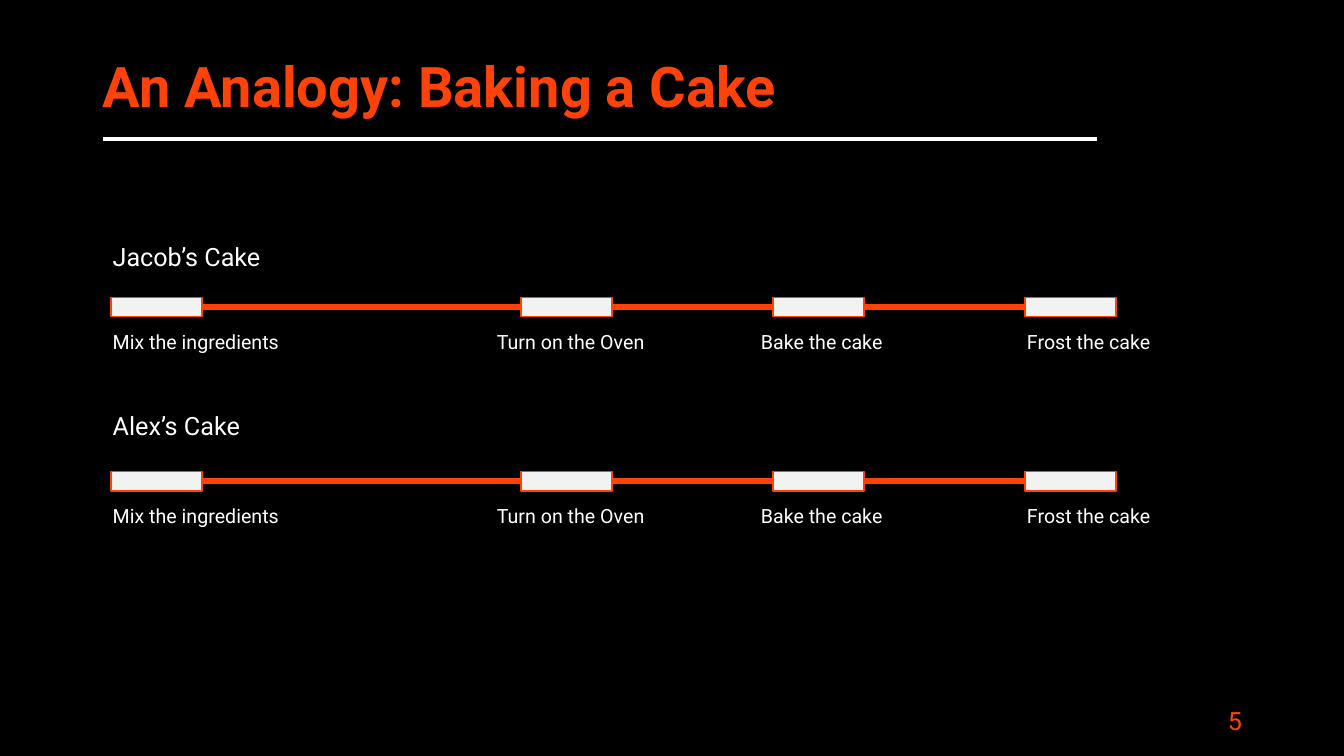
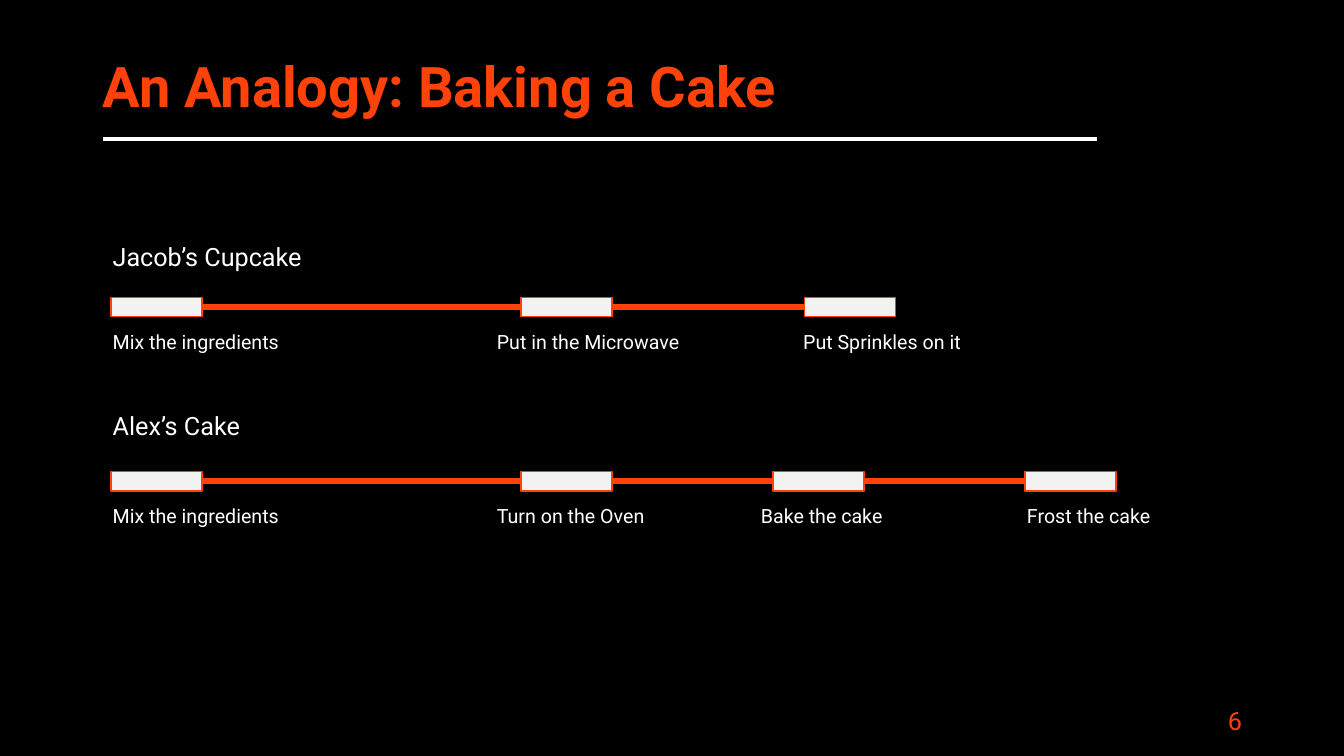
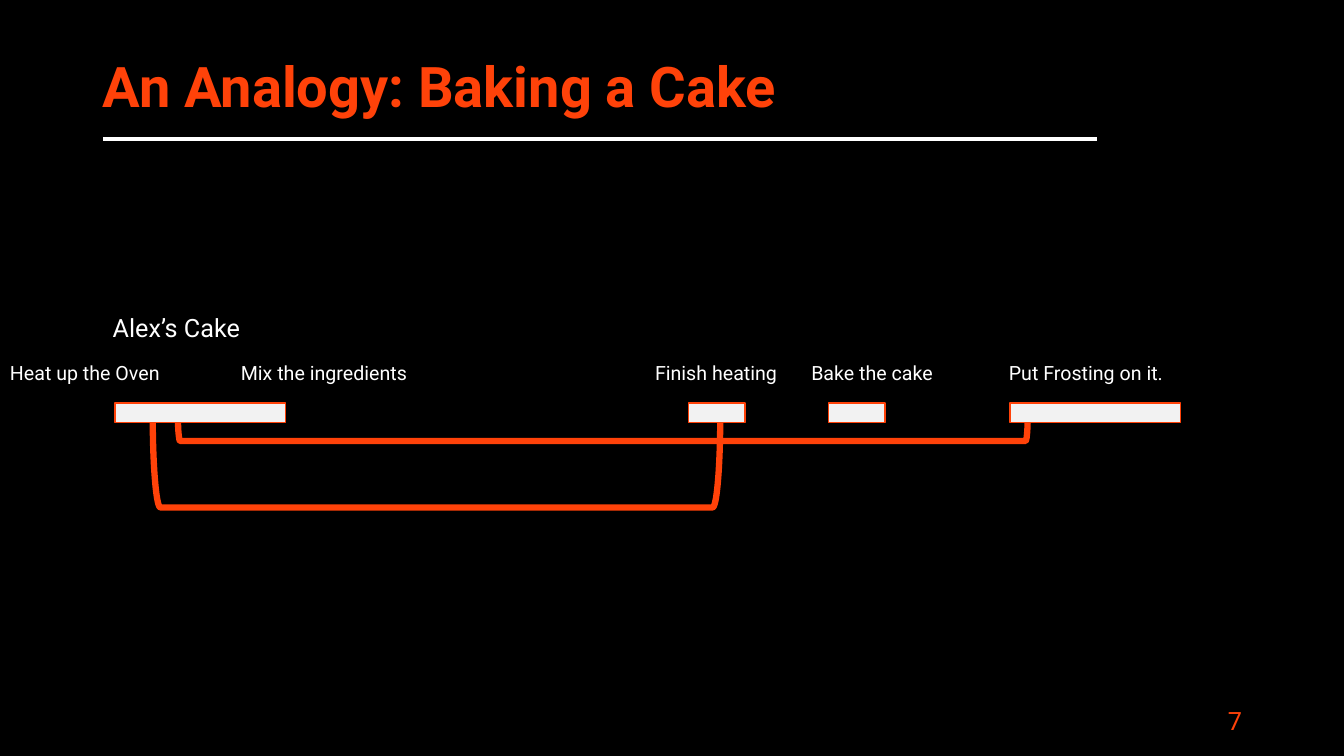
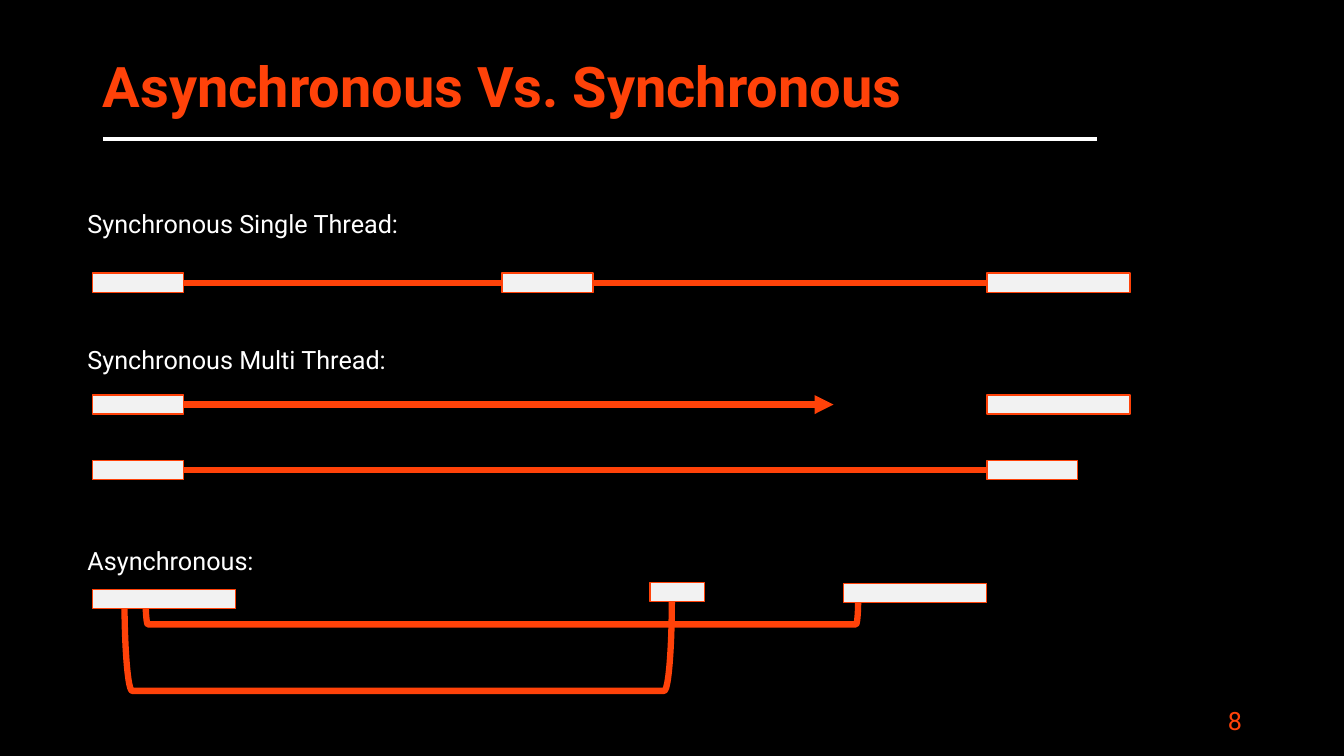
from lxml import etree
from pptx import Presentation
from pptx.dml.color import RGBColor
from pptx.enum.shapes import MSO_CONNECTOR, MSO_SHAPE
from pptx.enum.text import MSO_ANCHOR, MSO_AUTO_SIZE, PP_ALIGN
from pptx.oxml.ns import qn
from pptx.util import Pt

BLACK = RGBColor(0x00, 0x00, 0x00)
WHITE = RGBColor(0xFF, 0xFF, 0xFF)
ORANGE = RGBColor(0xFF, 0x42, 0x09)
PALE = RGBColor(0xF2, 0xF2, 0xF2)

RECT, BRACKET = MSO_SHAPE.RECTANGLE, MSO_SHAPE.RIGHT_BRACKET
STRAIGHT = MSO_CONNECTOR.STRAIGHT
MIDDLE = MSO_ANCHOR.MIDDLE
LEFT, RIGHT = PP_ALIGN.LEFT, PP_ALIGN.RIGHT
FIXED, GROW = MSO_AUTO_SIZE.NONE, MSO_AUTO_SIZE.SHAPE_TO_FIT_TEXT

FONT = "Roboto"
TITLE_ONLY = 5
BOX_W, BOX_H = 65, 13.7
LABEL_DROP = 12.8
MARGIN = 73.4
ROW_1, ROW_2 = 219.2, 343.8
CAKE_STEPS = [
    ("Mix the ingredients", 79.2, 73.4),
    ("Turn on the Oven", 372.2, 347.8),
    ("Bake the cake", 552.2, 536.4),
    ("Frost the cake", 732.2, 726.5),
]
CUPCAKE_STEPS = [
    ("Mix the ingredients", 79.2, 73.4),
    ("Put in the Microwave", 372.2, 347.8),
    ("Put Sprinkles on it", 574.6, 566.6),
]


class Deck:
    """Holds the shared style and the slide being built."""

    def __init__(self):
        self.prs = Presentation()
        self.prs.slide_width, self.prs.slide_height = Pt(960), Pt(540)
        fill = self.prs.slide_master.background.fill
        fill.solid()
        fill.fore_color.rgb = BLACK

    def add_text(self, tf, text, size, color, bold=False, align=LEFT):
        p = tf.paragraphs[0]
        p.alignment = align
        r = p.add_run()
        r.text = text
        r.font.name, r.font.size, r.font.bold = FONT, Pt(size), bold
        r.font.color.rgb = color
        return p

    def slide(self, title, number):
        self.s = self.prs.slides.add_slide(self.prs.slide_layouts[TITLE_ONLY])
        sp = self.s.shapes.title
        sp.left, sp.top, sp.width, sp.height = Pt(66.2), Pt(28.8), Pt(828), Pt(70.6)
        tf = sp.text_frame
        tf.vertical_anchor, tf.auto_size = MIDDLE, FIXED
        self.add_text(tf, title, 40, ORANGE, bold=True).line_spacing = 0.9
        self.line(783.4, MARGIN, 99.4, WHITE, 3)
        tf = self.text_box(678.2, 500.4, 216, 28.8)
        tf.vertical_anchor = MIDDLE
        self.add_text(tf, str(number), 18, ORANGE, align=RIGHT)

    def text_box(self, x, y, w, h):
        tf = self.s.shapes.add_textbox(Pt(x), Pt(y), Pt(w), Pt(h)).text_frame
        tf.word_wrap = True
        return tf

    def heading(self, text, x, y):
        tf = self.text_box(x, y, 249, 29)
        tf.auto_size = GROW
        self.add_text(tf, text, 18, WHITE)

    def label(self, text, x, y, w=145.4):
        tf = self.text_box(x, y, w, 24.5)
        tf.auto_size = GROW
        self.add_text(tf, text, 14, WHITE)

    def line(self, x1, x2, y, color=ORANGE, width=4.5):
        c = self.s.shapes.add_connector(STRAIGHT, Pt(x1), Pt(y), Pt(x2), Pt(y))
        c.line.color.rgb, c.line.width = color, Pt(width)
        etree.SubElement(c.element.spPr, qn("a:effectLst"))
        return c

    def arrow(self, x1, x2, y):
        ln = self.line(x1, x2, y).element.spPr.find(qn("a:ln"))
        etree.SubElement(ln, qn("a:tailEnd"), type="triangle")

    def box(self, x, y, w=BOX_W):
        sp = self.s.shapes.add_shape(RECT, Pt(x), Pt(y - BOX_H / 2), Pt(w), Pt(BOX_H))
        sp.shadow.inherit = False
        sp.fill.solid()
        sp.fill.fore_color.rgb = PALE
        sp.line.color.rgb, sp.line.width = ORANGE, Pt(1)

    def bracket(self, x, y, w, h):
        left, top = x + (w - h) / 2, y + (h - w) / 2
        sp = self.s.shapes.add_shape(BRACKET, Pt(left), Pt(top), Pt(h), Pt(w))
        sp.rotation = 90
        sp.shadow.inherit = False
        sp.fill.background()
        sp.line.color.rgb, sp.line.width = ORANGE, Pt(4.5)

    def timeline(self, steps, y, end):
        self.arrow(86.4, end, y)
        for text, box_x, label_x in steps:
            self.box(box_x, y)
            self.label(text, label_x, y + LABEL_DROP)


def main():
    deck = Deck()
    analogy = "An Analogy: Baking a Cake"

    pairs = [("Jacob’s Cake", CAKE_STEPS, 757.4), ("Jacob’s Cupcake", CUPCAKE_STEPS, 607)]
    for number, (heading, steps, end) in enumerate(pairs, 5):
        deck.slide(analogy, number)
        deck.heading(heading, MARGIN, 168.5)
        deck.timeline(steps, ROW_1, end)
        deck.heading("Alex’s Cake", MARGIN, 289.4)
        deck.timeline(CAKE_STEPS, ROW_2, 757.4)

    deck.slide(analogy, 7)
    deck.heading("Alex’s Cake", MARGIN, 219.6)
    deck.bracket(127.1, 296.3, 607, 18.7)
    deck.bracket(109.1, 296.3, 405.4, 66.2)
    for x, w in [(82.1, 121.7), (491.8, 40.3), (591.8, 40.3), (721.4, 121.7)]:
        deck.box(x, 294.8, w)
    for text, x, w in [
        ("Heat up the Oven", 0, 145.4),
        ("Mix the ingredients", 164.9, 145.4),
        ("Finish heating", 460.8, 111.6),
        ("Bake the cake", 572.4, 111.6),
        ("Put Frosting on it.", 713.5, 145.4),
    ]:
        deck.label(text, x, 254.2, w)

    deck.slide("Asynchronous Vs. Synchronous", 8)
    for text, y in [
        ("Synchronous Single Thread:", 145.4),
        ("Synchronous Multi Thread:", 242.6),
        ("Asynchronous:", 385.9),
    ]:
        deck.heading(text, 55.4, y)
    for y, end, boxes in [
        (202, 744.5, [(66.2, BOX_W), (358.6, BOX_W), (704.9, 102.2)]),
        (289, 595.4, [(66.2, BOX_W), (704.9, 102.2)]),
        (335.9, 744.5, [(66.2, BOX_W), (704.9, BOX_W)]),
    ]:
        deck.arrow(MARGIN, end, y)
        for x, w in boxes:
            deck.box(x, y, w)
    deck.bracket(104, 427.3, 509, 18.7)
    deck.bracket(88.9, 427.3, 391, 66.2)
    for x, y, w in [(66.2, 428, 102.2), (464.4, 423, 38.9), (602.6, 423.7, 102.2)]:
        deck.box(x, y, w)

    deck.prs.save("out.pptx")


if __name__ == "__main__":
    main()
